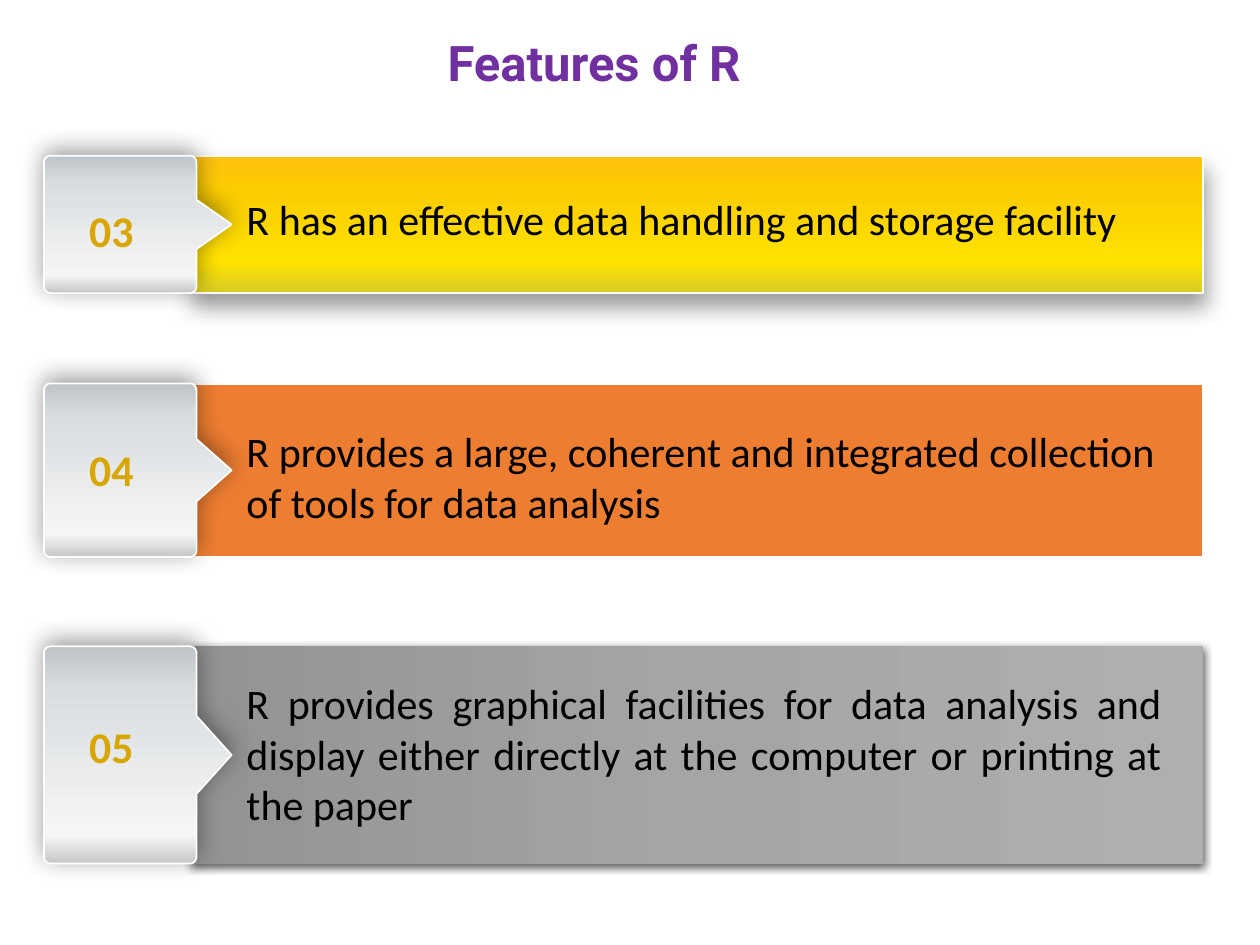
import dataclasses
import math

import pptx
import pptx.dml.color
import pptx.enum.shapes
import pptx.enum.text
import pptx.oxml
import pptx.oxml.ns
import pptx.util

Cm = pptx.util.Cm
Pt = pptx.util.Pt
Align = pptx.enum.text.PP_ALIGN
qn = pptx.oxml.ns.qn


@dataclasses.dataclass(frozen=True)
class Theme:
    title_font: str = "Roboto"
    body_font: str = "Calibri"
    title_size: int = 28
    number_size: int = 25
    body_size: int = 24
    title_color: str = "7030A0"
    number_color: str = "D9A601"
    body_color: str = "000000"
    outline: str = "FFFFFF"
    orange: str = "ED7D31"
    # Gradient stops: (percent, colour)
    yellow: tuple = ((0, "FEC10E"), (25, "FCCD01"), (78, "FFE200"), (100, "D7CA26"))
    gray: tuple = ((0, "939393"), (50, "A5A5A5"), (100, "AFAFAF"))
    silver: tuple = ((0, "BFC4C8"), (20, "D9DDE0"), (87, "F6F6F6"), (100, "C5C6C8"))
    # Shadows: (opacity percent, blur points, distance points, direction degrees)
    tab_shadow: tuple = (40, 14, 3, 270)
    yellow_shadow: tuple = (40, 13, 7, 90)
    gray_shadow: tuple = (63, 4.5, 1.5, 90)


@dataclasses.dataclass(frozen=True)
class Feature:
    """One row; lengths in cm, text offsets measured from the row's top."""
    number: str
    text: str
    top: float
    height: float
    number_offset: float
    number_height: float
    text_offset: float
    text_width: float
    text_height: float
    alignment: object
    fill: object
    angle: int = 0
    line_width: float = 0
    shadow: tuple = ()


THEME = Theme()
ROW_LEFT, ROW_WIDTH = 0.89, 23.37
FEATURES = (
    Feature("03", "R has an effective data handling and storage facility",
            3.14, 2.77, 0.85, 0.66, 0.64, 19.2, 0.64, Align.JUSTIFY,
            THEME.yellow, 270, 1, THEME.yellow_shadow),
    Feature("04", "R provides a large, coherent and integrated collection "
            "of tools for data analysis",
            7.73, 3.5, 1.08, 1.17, 0.73, 18.95, 2.03, Align.LEFT,
            THEME.orange, 0, 1.5),
    Feature("05", "R provides graphical facilities for data analysis and display "
            "either directly at the computer or printing at the paper",
            13.03, 4.38, 1.35, 1.65, 0.51, 18.95, 3.33, Align.JUSTIFY,
            THEME.gray, 0, 0, THEME.gray_shadow),
)


def rgb(color):
    return pptx.dml.color.RGBColor.from_string(color)


def add_shadow(shape, opacity, blur, distance, direction):
    effects = shape._element.spPr.find(qn("a:effectLst"))
    effects.append(pptx.oxml.parse_xml(
        f'<a:outerShdw {pptx.oxml.ns.nsdecls("a")} blurRad="{Pt(blur)}" '
        f'dist="{Pt(distance)}" dir="{direction * 60000}" algn="ctr" rotWithShape="0">'
        f'<a:srgbClr val="000000"><a:alpha val="{opacity * 1000}"/></a:srgbClr>'
        '</a:outerShdw>'))


def style_shape(shape, fill, angle, line_width, shadow):
    """Fill with a colour or gradient stops, then set outline and shadow."""
    if isinstance(fill, str):
        shape.fill.solid()
        shape.fill.fore_color.rgb = rgb(fill)
    else:
        shape.fill.gradient()
        shape.fill.gradient_angle = angle
        stops = shape._element.spPr.find(qn("a:gradFill")).find(qn("a:gsLst"))
        for stop in list(stops):
            stops.remove(stop)
        for position, color in fill:
            stops.append(pptx.oxml.parse_xml(
                f'<a:gs {pptx.oxml.ns.nsdecls("a")} pos="{position * 1000}">'
                f'<a:srgbClr val="{color}"/></a:gs>'))
    if line_width:
        shape.line.color.rgb = rgb(THEME.outline)
        shape.line.width = Pt(line_width)
    else:
        shape.line.fill.background()
    shape.shadow.inherit = False
    if shadow:
        add_shadow(shape, *shadow)


def set_text(shape, text, font, size, color, bold=False, alignment=Align.LEFT):
    frame = shape.text_frame
    frame.text = text
    frame.word_wrap = True
    frame.vertical_anchor = pptx.enum.text.MSO_ANCHOR.TOP
    frame.auto_size = pptx.enum.text.MSO_AUTO_SIZE.SHAPE_TO_FIT_TEXT
    paragraph = frame.paragraphs[0]
    paragraph.alignment = alignment
    run_font = paragraph.runs[0].font
    run_font.name, run_font.size, run_font.bold = font, Pt(size), bold
    run_font.color.rgb = rgb(color)


def add_title(slide, left, top, width, height):
    title = slide.shapes.title
    title.left, title.top, title.width, title.height = map(Cm, (left, top, width, height))
    set_text(title, "Features of R", THEME.title_font, THEME.title_size,
             THEME.title_color, True, Align.CENTER)


def add_tab(slide, left, top, height):
    """Rounded number tab whose right edge carries a pointer."""
    width, tip, radius = 3.07, 3.78, 0.13
    middle, half_pointer = height / 2, height * 0.18
    points = [(tip, middle), (width, middle + half_pointer)]
    corners = ((width - radius, height - radius, 0), (radius, height - radius, 90),
               (radius, radius, 180), (width - radius, radius, 270))
    for x, y, start in corners:
        for step in range(0, 91, 15):
            turn = math.radians(start + step)
            points.append((x + radius * math.cos(turn), y + radius * math.sin(turn)))
    points.append((width, middle - half_pointer))
    points = [(Cm(left + x), Cm(top + y)) for x, y in points]
    builder = slide.shapes.build_freeform(*points[0])
    builder.add_line_segments(points[1:], close=True)
    style_shape(builder.convert_to_shape(), THEME.silver, 270, 1, THEME.tab_shadow)


def add_feature(slide, feature, left, width):
    top, bar_inset = feature.top, 2.97
    # Coloured bar
    bar = slide.shapes.add_shape(
        pptx.enum.shapes.MSO_SHAPE.RECTANGLE, Cm(left + bar_inset), Cm(top),
        Cm(width - bar_inset), Cm(feature.height))
    style_shape(bar, feature.fill, feature.angle, feature.line_width, feature.shadow)
    # Number tab
    add_tab(slide, left, top, feature.height)
    number = slide.shapes.add_textbox(
        Cm(left + 0.66), Cm(top + feature.number_offset), Cm(1.65),
        Cm(feature.number_height))
    set_text(number, feature.number, THEME.body_font, THEME.number_size,
             THEME.number_color, True)
    # Description
    description = slide.shapes.add_textbox(
        Cm(left + 3.83), Cm(top + feature.text_offset), Cm(feature.text_width),
        Cm(feature.text_height))
    set_text(description, feature.text, THEME.body_font, THEME.body_size,
             THEME.body_color, alignment=feature.alignment)


def main():
    presentation = pptx.Presentation()
    presentation.slide_width, presentation.slide_height = Cm(25.4), Cm(19.05)
    slide = presentation.slides.add_slide(
        presentation.slide_layouts.get_by_name("Title Only"))
    add_title(slide, 0.71, 0.53, 22.53, 1.45)
    for feature in FEATURES:
        add_feature(slide, feature, ROW_LEFT, ROW_WIDTH)
    presentation.save("out.pptx")


if __name__ == "__main__":
    main()
